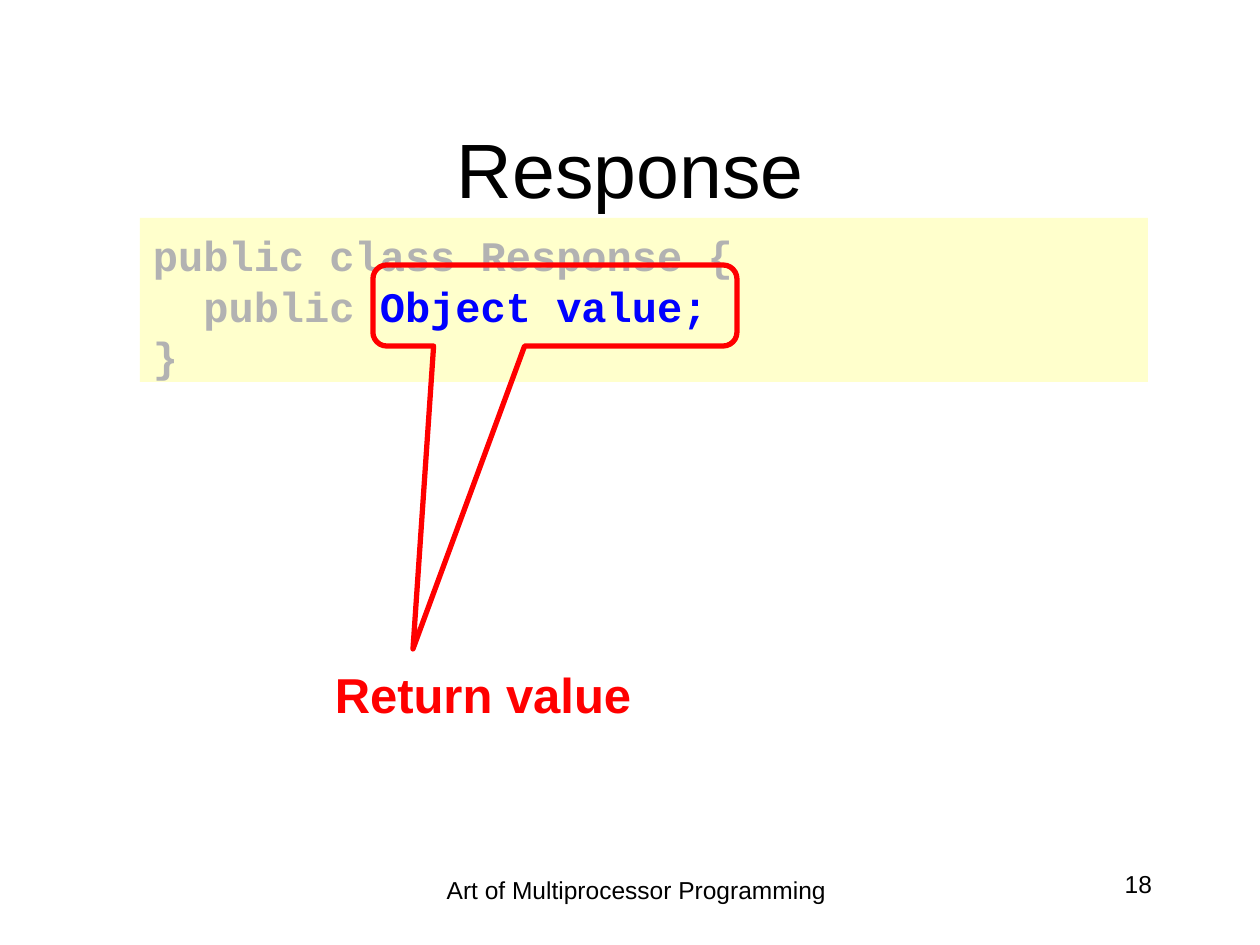
from pptx import Presentation
from pptx.dml.color import RGBColor
from pptx.enum.shapes import MSO_SHAPE as SHAPE
from pptx.enum.text import MSO_ANCHOR as ANCHOR, PP_ALIGN as ALIGN
from pptx.util import Emu, Pt

PX = 914400 // 126
BLACK, RED, GREY, BLUE, CREAM = "000000", "FF0000", "B2B2B2", "0000FF", "FFFFCC"

# text, box (left, top, width, height), top inset, align, anchor, font format
LABELS = [
    ("Response", (95, 84, 1071, 158), 16, ALIGN.CENTER, ANCHOR.MIDDLE,
     dict(size=44, color=BLACK)),
    ("Return value", (219, 653, 528, 72), 12, ALIGN.CENTER, ANCHOR.TOP,
     dict(size=28, color=RED, bold=True)),
    ("18", (903, 861, 262, 63), 8, ALIGN.RIGHT, ANCHOR.TOP,
     dict(size=14, color=BLACK)),
    ("Art of Multiprocessor Programming", (407, 867, 459, 63), 8, ALIGN.CENTER,
     ANCHOR.TOP, dict(size=14, color=BLACK)),
]
CODE = [
    [("public class Response {", GREY)],
    [("  public", GREY), (" Object value;", BLUE)],
    [("}", GREY)],
]
CODE_BOX = (140, 218, 1008, 164)
CALLOUT_BOX = (373, 265, 364, 81)
CALLOUT_ADJUSTMENTS = (-0.39, 4.24, 0.17)


def rgb(value):
    return RGBColor.from_string(value)


def px(*values):
    return [Emu(v * PX) for v in values]


def set_frame(tf, top, anchor):
    left, top, bottom = px(13, top, 6)
    frame = dict(word_wrap=True, vertical_anchor=anchor, margin_left=left,
                 margin_right=left, margin_top=top, margin_bottom=bottom)
    for name, value in frame.items():
        setattr(tf, name, value)


def add_run(p, text, size, color, name="Arial", bold=False):
    r = p.add_run()
    r.text = text
    for key, value in dict(size=Pt(size), name=name, bold=bold).items():
        setattr(r.font, key, value)
    r.font.color.rgb = rgb(color)


def add_label(s, text, box, top, align, anchor, font):
    tf = s.shapes.add_textbox(*px(*box)).text_frame
    set_frame(tf, top, anchor)
    p = tf.paragraphs[0]
    p.alignment = align
    add_run(p, text, **font)


def add_code(s):
    sp = s.shapes.add_shape(SHAPE.RECTANGLE, *px(*CODE_BOX))
    sp.shadow.inherit = False
    sp.fill.solid()
    sp.fill.fore_color.rgb = rgb(CREAM)
    sp.line.fill.background()
    tf = sp.text_frame
    set_frame(tf, 12, ANCHOR.TOP)
    for i, line in enumerate(CODE):
        p = tf.add_paragraph() if i else tf.paragraphs[0]
        p.alignment = ALIGN.LEFT
        p.line_spacing = Pt(28.8)
        for text, color in line:
            add_run(p, text, 24, color, "Courier New", True)


def add_callout(s):
    sp = s.shapes.add_shape(SHAPE.ROUNDED_RECTANGULAR_CALLOUT, *px(*CALLOUT_BOX))
    sp.shadow.inherit = False
    sp.fill.background()
    sp.line.color.rgb = rgb(RED)
    sp.line.width = Pt(3)
    for i, value in enumerate(CALLOUT_ADJUSTMENTS):
        sp.adjustments[i] = value


def main():
    prs = Presentation()
    prs.slide_width, prs.slide_height = px(1260, 945)
    s = prs.slides.add_slide(prs.slide_layouts[6])
    title, *captions = LABELS
    add_label(s, *title)
    add_code(s)
    add_callout(s)
    for caption in captions:
        add_label(s, *caption)
    prs.save("out.pptx")


if __name__ == "__main__":
    main()
